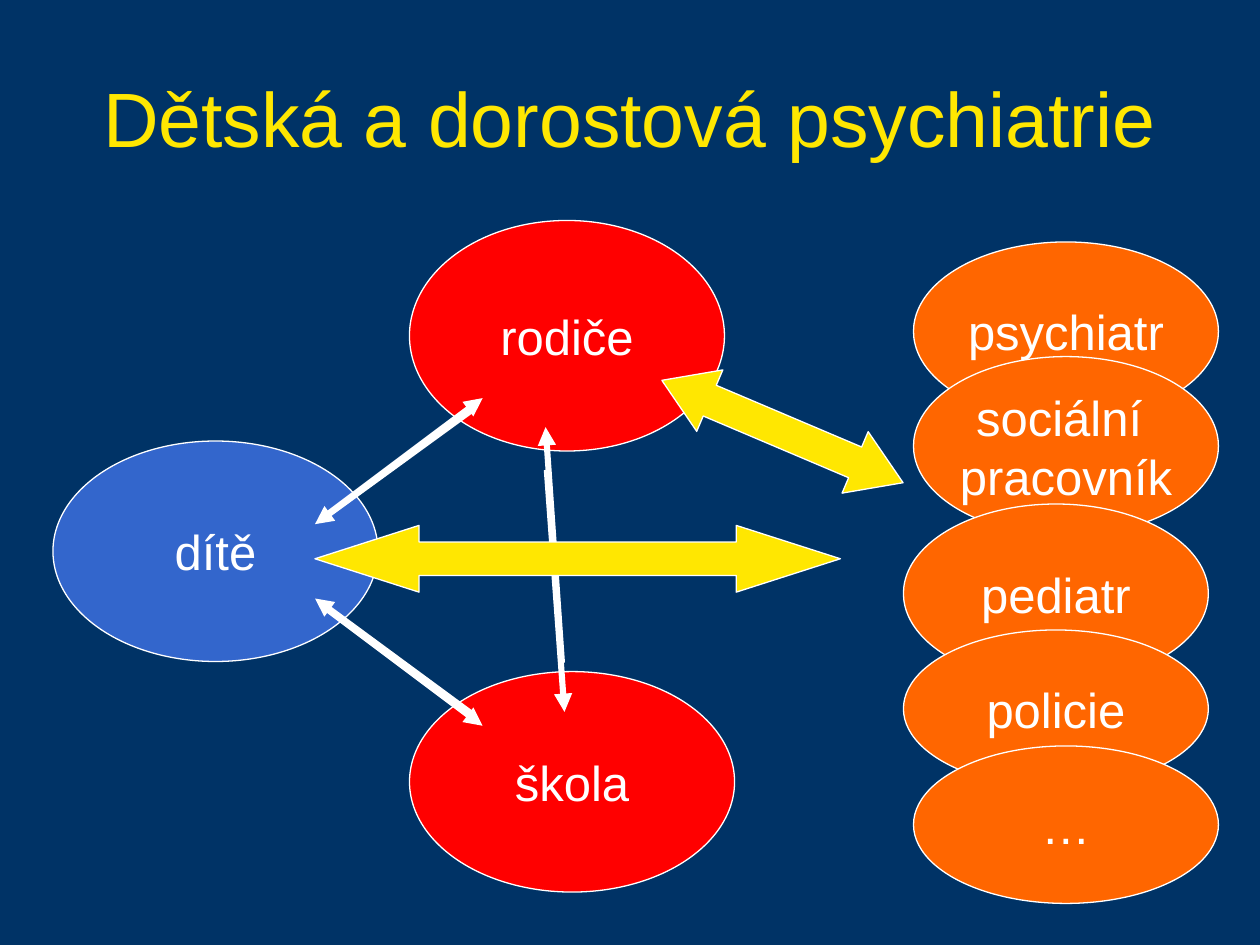
import pptx
import pptx.util
import pptx.dml.color
import pptx.enum.shapes
import pptx.enum.text
import pptx.oxml
import pptx.oxml.ns
from pptx.util import Inches

SHAPES = pptx.enum.shapes.MSO_SHAPE
NAVY, BLUE, RED, ORANGE = "003366", "3366CC", "FF0000", "FF6600"
YELLOW, WHITE = "FFE701", "FFFFFF"


def color(hex_text):
    return pptx.dml.color.RGBColor.from_string(hex_text)


def format_text(frame, text, size, text_color):
    frame.text = text
    frame.vertical_anchor = pptx.enum.text.MSO_ANCHOR.MIDDLE
    for para in frame.paragraphs:
        para.alignment = pptx.enum.text.PP_ALIGN.CENTER
        para.font.name = "Arial"
        para.font.size = pptx.util.Pt(size)
        para.font.color.rgb = color(text_color)


def add_filled(page, kind, box, fill):
    shape = page.shapes.add_shape(kind, *map(Inches, box))
    shape.shadow.inherit = False
    shape.fill.solid()
    shape.fill.fore_color.rgb = color(fill)
    shape.line.color.rgb = color(WHITE)
    shape.line.width = pptx.util.Pt(0.75)
    return shape


def add_ellipse(page, text, box, fill):
    ellipse = add_filled(page, SHAPES.OVAL, box, fill)
    format_text(ellipse.text_frame, text, 28, WHITE)
    ellipse.text_frame.word_wrap = False


def add_block_arrow(page, box, head, rotation=0):
    arrow = add_filled(page, SHAPES.LEFT_RIGHT_ARROW, box, YELLOW)
    arrow.adjustments[0] = 0.5
    arrow.adjustments[1] = head
    arrow.rotation = rotation


def add_line_arrow(page, start, end):
    line = page.shapes.add_connector(
        pptx.enum.shapes.MSO_CONNECTOR.STRAIGHT, *map(Inches, start + end))
    line.line.color.rgb = color(WHITE)
    line.line.width = pptx.util.Pt(3.5)
    head = pptx.oxml.parse_xml(
        f'<a:tailEnd {pptx.oxml.ns.nsdecls("a")} type="triangle"/>')
    line.line._get_or_add_ln().append(head)
    effects = pptx.oxml.parse_xml(
        f'<a:effectLst {pptx.oxml.ns.nsdecls("a")}/>')
    line._element.spPr.append(effects)


def add_title(page, box):
    title = page.shapes.title
    title.left, title.top, title.width, title.height = map(Inches, box)
    format_text(title.text_frame, "Dětská a dorostová psychiatrie", 44, YELLOW)


def add_family(page):
    add_ellipse(page, "dítě", (0.42, 3.5, 2.58, 1.75), BLUE)
    add_ellipse(page, "rodiče", (3.25, 1.75, 2.5, 1.83), RED)
    add_ellipse(page, "škola", (3.25, 5.33, 2.58, 1.75), RED)
    # Each relation is a pair of opposite arrows
    for start, end in (
        ((3.75, 3.25), (2.5, 4.16)), ((2.59, 4.09), (3.83, 3.16)),
        ((4.34, 3.73), (4.48, 5.65)), ((4.46, 5.26), (4.33, 3.39)),
        ((3.75, 5.67), (2.5, 4.75)), ((2.59, 4.83), (3.83, 5.76)),
    ):
        add_line_arrow(page, start, end)


def add_professionals(page, left, width):
    # Overlapping stack: text, shift to the left, top, height
    for text, shift, top, height in (
        ("psychiatr", 0, 1.92, 1.42),
        ("sociální \npracovník", 0, 2.83, 1.42),
        ("pediatr", 0.08, 4, 1.42),
        ("policie", 0.08, 5, 1.25),
        ("…", 0, 5.92, 1.25),
    ):
        add_ellipse(page, text, (left - shift, top, width, height), ORANGE)


def main():
    deck = pptx.Presentation()
    deck.slide_width, deck.slide_height = Inches(10), Inches(7.5)
    page = deck.slides.add_slide(deck.slide_layouts.get_by_name("Title Only"))
    page.background.fill.solid()
    page.background.fill.fore_color.rgb = color(NAVY)

    add_title(page, (0.5, 0.3, 9, 1.25))
    add_family(page)
    # Links from the family to the professionals
    add_block_arrow(page, (2.5, 4.17, 4.17, 0.53), 1.56)
    add_block_arrow(page, (5.17, 3.16, 2.08, 0.53), 0.78, rotation=23)
    add_professionals(page, 7.25, 2.42)
    deck.save("out.pptx")


if __name__ == "__main__":
    main()
